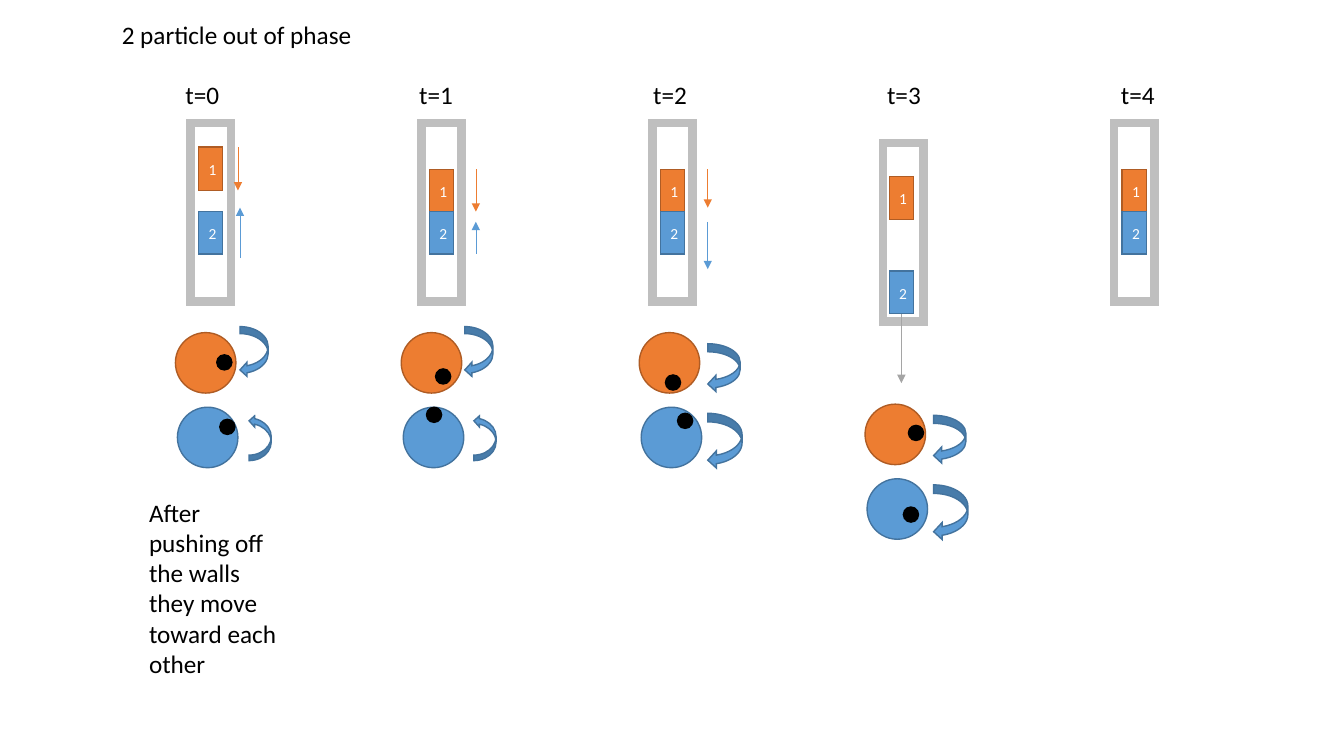
from dataclasses import dataclass, field

from lxml.etree import SubElement
from pptx import Presentation
from pptx.dml.color import RGBColor
from pptx.enum.shapes import MSO_CONNECTOR as Connector, MSO_SHAPE as Preset
from pptx.enum.text import MSO_ANCHOR as Anchor, MSO_AUTO_SIZE as AutoSize, PP_ALIGN as Align
from pptx.oxml.ns import qn
from pptx.util import Pt

PX = 9144
COLORS = {
    "orange": "ED7D31", "orange_edge": "AF5C24",
    "blue": "5B9BD5", "blue_edge": "43739E",
    "wall": "BFBFBF", "gray": "A5A5A5",
    "black": "000000", "black_edge": "000000", "white": "FFFFFF",
}


def px(*lengths):
    return [length * PX for length in lengths]


def rgb(name):
    return RGBColor.from_string(COLORS[name])


def write(frame, text, size=18, color="black", font="Calibri",
          align=Align.LEFT, spacing=None, after=None):
    para = frame.paragraphs[0]
    para.alignment = align
    para.line_spacing = spacing
    para.space_after = after
    span = para.add_run()
    span.text = text
    span.font.name = font
    span.font.size = Pt(size)
    span.font.color.rgb = rgb(color)


@dataclass
class Painter:
    page: object

    def text(self, left, top, width, height, text):
        box = self.page.shapes.add_textbox(*px(left, top, width, height))
        box.text_frame.word_wrap = True
        box.text_frame.auto_size = AutoSize.SHAPE_TO_FIT_TEXT
        write(box.text_frame, text)

    def shape(self, preset, left, top, width, height, fill, edge, weight=1):
        shape = self.page.shapes.add_shape(preset, *px(left, top, width, height))
        shape.shadow.inherit = False
        if fill:
            shape.fill.solid()
            shape.fill.fore_color.rgb = rgb(fill)
        else:
            shape.fill.background()
        shape.line.color.rgb = rgb(edge)
        shape.line.width = Pt(weight)
        SubElement(shape.line._get_or_add_ln(), qn("a:miter"), lim="800000")
        return shape

    def tube(self, left, top):
        self.shape(Preset.RECTANGLE, left, top, 40, 177, None, "wall", 6)

    def particle(self, left, top, height, color, text):
        block = self.shape(Preset.RECTANGLE, left, top, 24, height, color, color + "_edge")
        block.text_frame.vertical_anchor = Anchor.MIDDLE
        write(block.text_frame, text, size=11, color="white",
              align=Align.CENTER, spacing=1.07, after=Pt(8))

    def disc(self, left, top, size, color):
        self.shape(Preset.OVAL, left, top, size, size, color, color + "_edge")

    def swirl(self, left, top, width, height, flipped=False):
        arrow = self.shape(Preset.CURVED_LEFT_ARROW, left, top, width, height, "blue", "blue_edge")
        if flipped:
            arrow.element.spPr.xfrm.set("flipV", "1")

    def arrow(self, left, start, end, color):
        arrow = self.page.shapes.add_connector(Connector.STRAIGHT, *px(left, start, left, end))
        arrow.line.color.rgb = rgb(color)
        arrow.line.width = Pt(0.5)
        SubElement(arrow.line._get_or_add_ln(), qn("a:tailEnd"), type="triangle")
        SubElement(arrow.element.spPr, qn("a:effectLst"))


@dataclass
class Moment:
    orange_top: int = 168
    blue_top: int = 210
    tube_top: int = 122
    inset: int = 8
    arrows: list = field(default_factory=list)
    wheels: tuple = ()
    dots: list = field(default_factory=list)
    swirls: list = field(default_factory=list)


MOMENTS = [
    Moment(orange_top=146,
           arrows=[(236, 146, 189, "orange"), (238, 256, 206, "blue")],
           wheels=(174, 330), dots=[(215, 352), (218, 416)],
           swirls=[(238, 324, 28, 50), (247, 412, 22, 45, True)]),
    Moment(arrows=[(472, 168, 210, "orange"), (472, 252, 220, "blue")],
           wheels=(398, 330), dots=[(432, 366), (423, 404)],
           swirls=[(461, 324, 28, 50), (470, 412, 22, 45, True)]),
    Moment(arrows=[(702, 168, 206, "orange"), (702, 220, 267, "blue")],
           wheels=(634, 330), dots=[(660, 372), (672, 410)],
           swirls=[(702, 341, 32, 48), (702, 410, 34, 55)]),
    Moment(orange_top=175, blue_top=269, tube_top=142, inset=6,
           arrows=[(894, 312, 380, "gray")],
           wheels=(858, 401), dots=[(901, 422), (896, 503)],
           swirls=[(926, 412, 32, 48), (926, 481, 34, 55)]),
    Moment(),
]


def main():
    deck = Presentation()
    deck.slide_width, deck.slide_height = px(1333, 750)
    painter = Painter(deck.slides.add_slide(deck.slide_layouts[6]))

    painter.text(111, 14, 327, 40, "2 particle out of phase")
    for step, moment in enumerate(MOMENTS):
        tube_left = 189 + 229 * step
        painter.text(174 + 232 * step, 74, 57, 40, f"t={step}")
        painter.tube(tube_left, moment.tube_top)
        painter.particle(tube_left + moment.inset, moment.orange_top, 43, "orange", "1")
        painter.particle(tube_left + moment.inset, moment.blue_top, 42, "blue", "2")
        for arrow in moment.arrows:
            painter.arrow(*arrow)
        if moment.wheels:
            left, top = moment.wheels
            painter.disc(left, top, 60, "orange")
            painter.disc(left + 2, top + 74, 60, "blue")
        for dot in moment.dots:
            painter.disc(*dot, 15, "black")
        for swirl in moment.swirls:
            painter.swirl(*swirl)
    painter.text(138, 488, 154, 192, "After pushing off the walls they move toward each other")

    deck.save("out.pptx")


if __name__ == "__main__":
    main()
